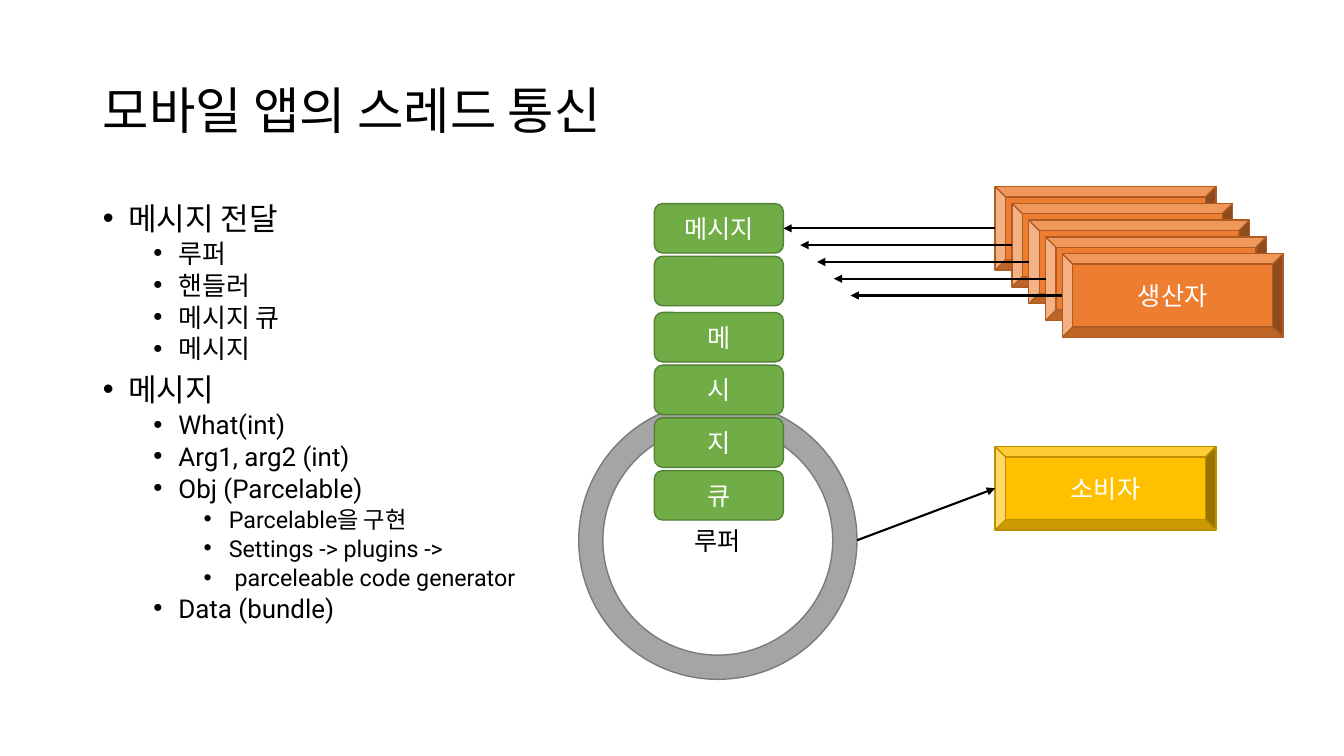
from dataclasses import dataclass
from lxml.etree import SubElement
from pptx import Presentation
from pptx.dml.color import RGBColor
from pptx.enum.shapes import MSO_CONNECTOR, MSO_SHAPE
from pptx.enum.text import MSO_ANCHOR, MSO_AUTO_SIZE, PP_ALIGN
from pptx.oxml.ns import qn
from pptx.util import Inches, Pt


@dataclass(frozen=True)
class Theme:
    font: str = "Roboto"
    title_size: float = 36
    level_sizes: tuple = (22.2, 18.5, 16.6)
    label_size: float = 18
    black: str = "000000"
    white: str = "FFFFFF"
    looper: tuple = ("A5A5A5", "7A7A7A")
    message: tuple = ("70AD47", "538035")
    producer: tuple = ("ED7D31", "AF5C24")
    consumer: tuple = ("FFC000", "BD8E00")


THEME = Theme()
TITLE = "모바일 앱의 스레드 통신"
OUTLINE = [
    (0, "메시지 전달 "),
    (1, "루퍼"),
    (1, "핸들러"),
    (1, "메시지 큐"),
    (1, "메시지"),
    (0, "메시지"),
    (1, "What(int)"),
    (1, "Arg1, arg2 (int)"),
    (1, "Obj (Parcelable)"),
    (2, "Parcelable을 구현"),
    (2, "Settings -> plugins ->"),
    (2, " parceleable code generator"),
    (1, "Data (bundle)"),
]
LOOPER, PRODUCER, CONSUMER = "루퍼", "생산자", "소비자"
INCOMING = ["메시지", ""]
QUEUE = ["메", "시", "지", "큐"]

PRODUCER_COUNT = 5
STACK_STEP = 0.1667
MESSAGE_LEFT, MESSAGE_WIDTH, MESSAGE_HEIGHT = 6.49, 1.28, 0.49
INCOMING_TOP, QUEUE_TOP, MESSAGE_PITCH = 2.02, 3.1, 0.523
ACTOR_LEFT, ACTOR_WIDTH, ACTOR_HEIGHT = 9.87, 2.19, 0.83
PRODUCER_TOP, CONSUMER_TOP = 1.85, 4.43
LOOPER_LEFT, LOOPER_TOP, LOOPER_SIZE = 5.74, 3.98, 2.76

deck = Presentation()
deck.slide_width, deck.slide_height = Inches(13.33), Inches(7.5)
slide = deck.slides.add_slide(deck.slide_layouts[1])


def place(holder, left, top, width, height):
    holder.left, holder.top = Inches(left), Inches(top)
    holder.width, holder.height = Inches(width), Inches(height)
    holder.text_frame.word_wrap = True
    holder.text_frame.auto_size = MSO_AUTO_SIZE.NONE


def style(paragraph, size, color):
    paragraph.font.name = THEME.font
    paragraph.font.size = Pt(size)
    paragraph.font.color.rgb = RGBColor.from_string(color)


def add_part(preset, label, box, colors, text_color=THEME.white):
    part = slide.shapes.add_shape(preset, *map(Inches, box))
    fill, line = colors
    part.shadow.inherit = False
    part.fill.solid()
    part.fill.fore_color.rgb = RGBColor.from_string(fill)
    part.line.color.rgb = RGBColor.from_string(line)
    part.line.width = Pt(1)
    if label:
        part.text_frame.text = label
        part.text_frame.vertical_anchor = MSO_ANCHOR.MIDDLE
        paragraph = part.text_frame.paragraphs[0]
        paragraph.alignment = PP_ALIGN.CENTER
        style(paragraph, THEME.label_size, text_color)
    return part


def add_arrow(*ends):
    arrow = slide.shapes.add_connector(MSO_CONNECTOR.STRAIGHT, *map(Inches, ends))
    arrow.line.color.rgb = RGBColor.from_string(THEME.black)
    arrow.line.width = Pt(1.5)
    SubElement(arrow.line._get_or_add_ln(), qn("a:tailEnd"), type="triangle")
    SubElement(arrow._element.spPr, qn("a:effectLst"))


title = slide.shapes.title
place(title, 0.92, 0.4, 11.5, 1.45)
title.text_frame.text = TITLE
title.text_frame.vertical_anchor = MSO_ANCHOR.MIDDLE
heading = title.text_frame.paragraphs[0]
heading.alignment = PP_ALIGN.LEFT
heading.line_spacing = 0.9
style(heading, THEME.title_size, THEME.black)

outline = slide.placeholders[1]
place(outline, 0.92, 2, 11.5, 4.76)
outline.text_frame.text = "\n".join(text for _, text in OUTLINE)
for (level, _), item in zip(OUTLINE, outline.text_frame.paragraphs):
    item.level = level
    item.line_spacing = 0.8
    item.space_before = Pt(5 if level else 10)
    style(item, THEME.level_sizes[level], THEME.black)
    properties = item._p.get_or_add_pPr()
    properties.set("marL", str(Inches(0.25 + 0.5 * level)))
    properties.set("indent", str(Inches(-0.25)))
    SubElement(properties, qn("a:buFont"), typeface="Arial")
    SubElement(properties, qn("a:buChar"), char="•")

looper = add_part(MSO_SHAPE.DONUT, LOOPER,
                  (LOOPER_LEFT, LOOPER_TOP, LOOPER_SIZE, LOOPER_SIZE),
                  THEME.looper, THEME.black)
looper.adjustments[0] = 0.087

for top, labels in ((INCOMING_TOP, INCOMING), (QUEUE_TOP, QUEUE)):
    for row, label in enumerate(labels):
        add_part(MSO_SHAPE.ROUNDED_RECTANGLE, label,
                 (MESSAGE_LEFT, top + row * MESSAGE_PITCH, MESSAGE_WIDTH, MESSAGE_HEIGHT),
                 THEME.message)

offsets = [STACK_STEP * number for number in range(PRODUCER_COUNT)]
for offset in offsets:
    add_part(MSO_SHAPE.BEVEL, PRODUCER,
             (ACTOR_LEFT + offset, PRODUCER_TOP + offset, ACTOR_WIDTH, ACTOR_HEIGHT),
             THEME.producer)
add_part(MSO_SHAPE.BEVEL, CONSUMER,
         (ACTOR_LEFT, CONSUMER_TOP, ACTOR_WIDTH, ACTOR_HEIGHT), THEME.consumer)

for offset in offsets:
    middle = PRODUCER_TOP + ACTOR_HEIGHT / 2 + offset
    add_arrow(ACTOR_LEFT + offset, middle, MESSAGE_LEFT + MESSAGE_WIDTH + offset, middle)
add_arrow(LOOPER_LEFT + LOOPER_SIZE, LOOPER_TOP + LOOPER_SIZE / 2,
          ACTOR_LEFT, CONSUMER_TOP + ACTOR_HEIGHT / 2)

deck.save("out.pptx")
